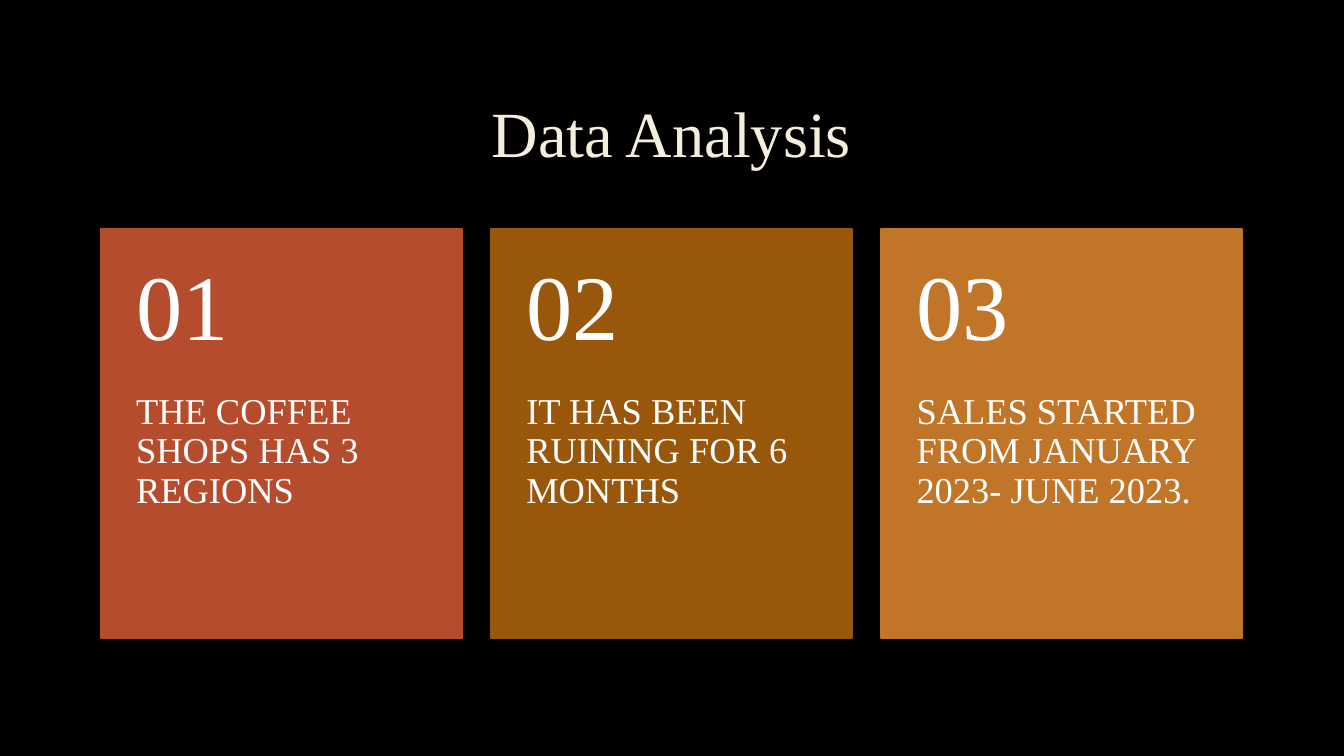
import dataclasses

import pptx
import pptx.dml.color
import pptx.enum.shapes
import pptx.enum.text
import pptx.oxml
import pptx.oxml.ns
import pptx.slide
import pptx.text.text
import pptx.util

Inches = pptx.util.Inches
Align = pptx.enum.text.PP_ALIGN
Anchor = pptx.enum.text.MSO_ANCHOR


@dataclasses.dataclass(frozen=True)
class Theme:
    font: str = "Times New Roman"
    background: str = "000000"
    title_color: str = "F4EEDC"
    title_outline: str = "404040"
    card_text: str = "FFFFFF"
    title_size: int = 46
    number_size: int = 66
    body_size: int = 26
    border_width: float = 1.25


@dataclasses.dataclass(frozen=True)
class Card:
    text: str
    color: str


THEME = Theme()
CARDS = [
    Card("THE COFFEE SHOPS HAS 3 REGIONS", "B54C2D"),
    Card("IT HAS BEEN RUINING FOR 6 MONTHS", "99570C"),
    Card("SALES STARTED FROM JANUARY 2023- JUNE 2023.", "C17529"),
]

# Card grid, in inches
LEFT, TOP, WIDTH, HEIGHT, PITCH = 1, 2.27, 3.58, 4.06, 3.87
NUMBER_HEIGHT = 1.62
BODY_TOP, BODY_HEIGHT = 3.9, 2.44


def rgb(color: str) -> pptx.dml.color.RGBColor:
    return pptx.dml.color.RGBColor.from_string(color)


def add_text(
    slide: pptx.slide.Slide,
    text: str,
    box: tuple[float, float, float, float],
    *,
    size: int,
    color: str,
    align: Align = Align.LEFT,
    anchor: Anchor = Anchor.TOP,
    insets: tuple[float, float, float, float] = (0.1, 0.05, 0.1, 0.05),
) -> pptx.text.text.Font:
    """Add a one-paragraph text box and return the font of its run."""
    frame = slide.shapes.add_textbox(*map(Inches, box)).text_frame
    frame.word_wrap = True
    frame.vertical_anchor = anchor
    (frame.margin_left, frame.margin_top,
     frame.margin_right, frame.margin_bottom) = map(Inches, insets)
    paragraph = frame.paragraphs[0]
    paragraph.alignment = align
    paragraph.line_spacing = 0.9
    run = paragraph.add_run()
    run.text = text
    run.font.name = THEME.font
    run.font.size = pptx.util.Pt(size)
    run.font.color.rgb = rgb(color)
    return run.font


def add_title(slide: pptx.slide.Slide) -> None:
    font = add_text(slide, "Data Analysis", (1, 0.67, 11.32, 1.38),
                    size=THEME.title_size, color=THEME.title_color,
                    align=Align.CENTER, anchor=Anchor.MIDDLE)
    # Faint letter outline: 0.75 pt at 10% opacity
    outline = pptx.oxml.parse_xml(
        f'<a:ln {pptx.oxml.ns.nsdecls("a")} w="9525"><a:solidFill>'
        f'<a:srgbClr val="{THEME.title_outline}"><a:alpha val="10000"/>'
        '</a:srgbClr></a:solidFill></a:ln>')
    font.fill._xPr.insert(0, outline)


def add_card(slide: pptx.slide.Slide, index: int, card: Card) -> None:
    left = LEFT + index * PITCH

    # Coloured panel
    panel = slide.shapes.add_shape(
        pptx.enum.shapes.MSO_SHAPE.RECTANGLE,
        *map(Inches, (left, TOP, WIDTH, HEIGHT)))
    panel.shadow.inherit = False
    panel.fill.solid()
    panel.fill.fore_color.rgb = rgb(card.color)
    panel.line.color.rgb = rgb(card.color)
    panel.line.width = pptx.util.Pt(THEME.border_width)

    # Statement and number
    add_text(slide, card.text, (left, BODY_TOP, WIDTH, BODY_HEIGHT),
             size=THEME.body_size, color=THEME.card_text,
             insets=(0.35, 0, 0.35, 0.36))
    add_text(slide, f"{index + 1:02}", (left, TOP, WIDTH, NUMBER_HEIGHT),
             size=THEME.number_size, color=THEME.card_text,
             anchor=Anchor.MIDDLE, insets=(0.35, 0.18, 0.35, 0.18))


def main() -> None:
    presentation = pptx.Presentation()
    presentation.slide_width = Inches(13.33)
    presentation.slide_height = Inches(7.5)
    slide = presentation.slides.add_slide(presentation.slide_layouts[6])
    slide.background.fill.solid()
    slide.background.fill.fore_color.rgb = rgb(THEME.background)

    add_title(slide)
    for index, card in enumerate(CARDS):
        add_card(slide, index, card)

    presentation.save("out.pptx")


if __name__ == "__main__":
    main()
